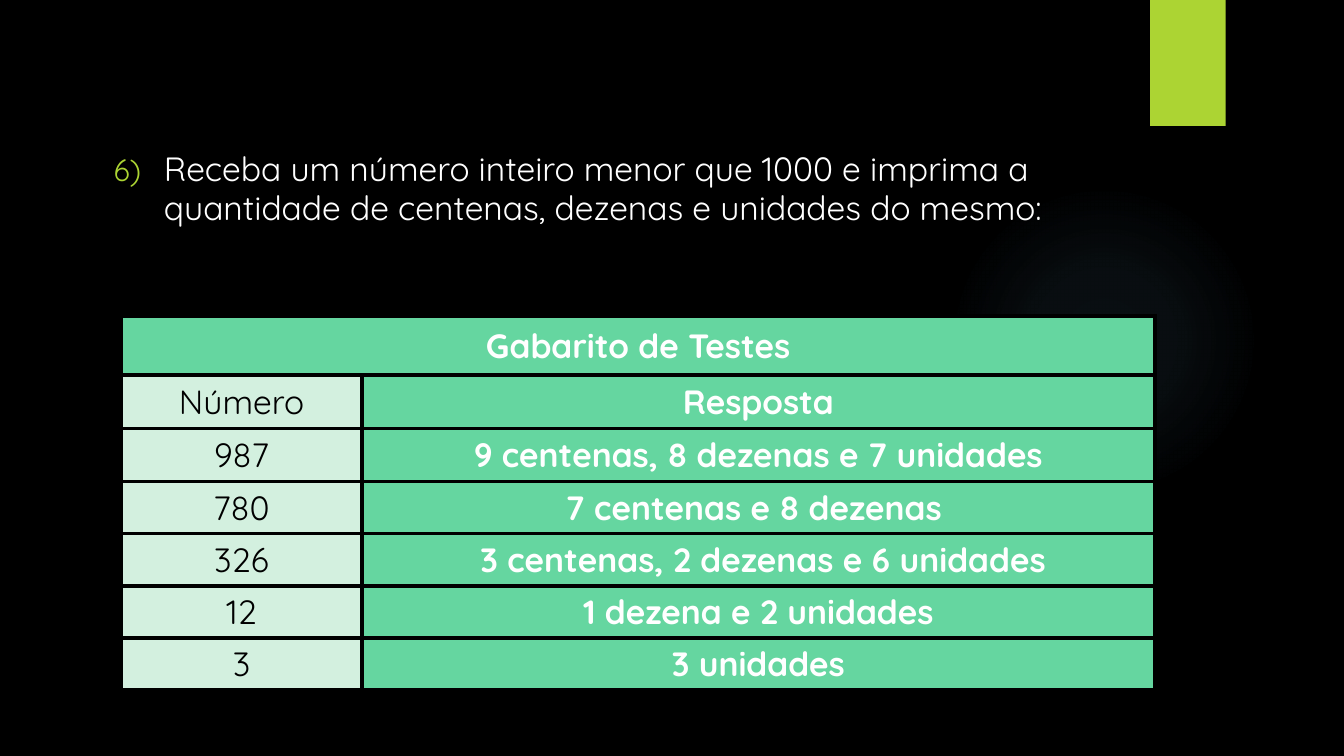
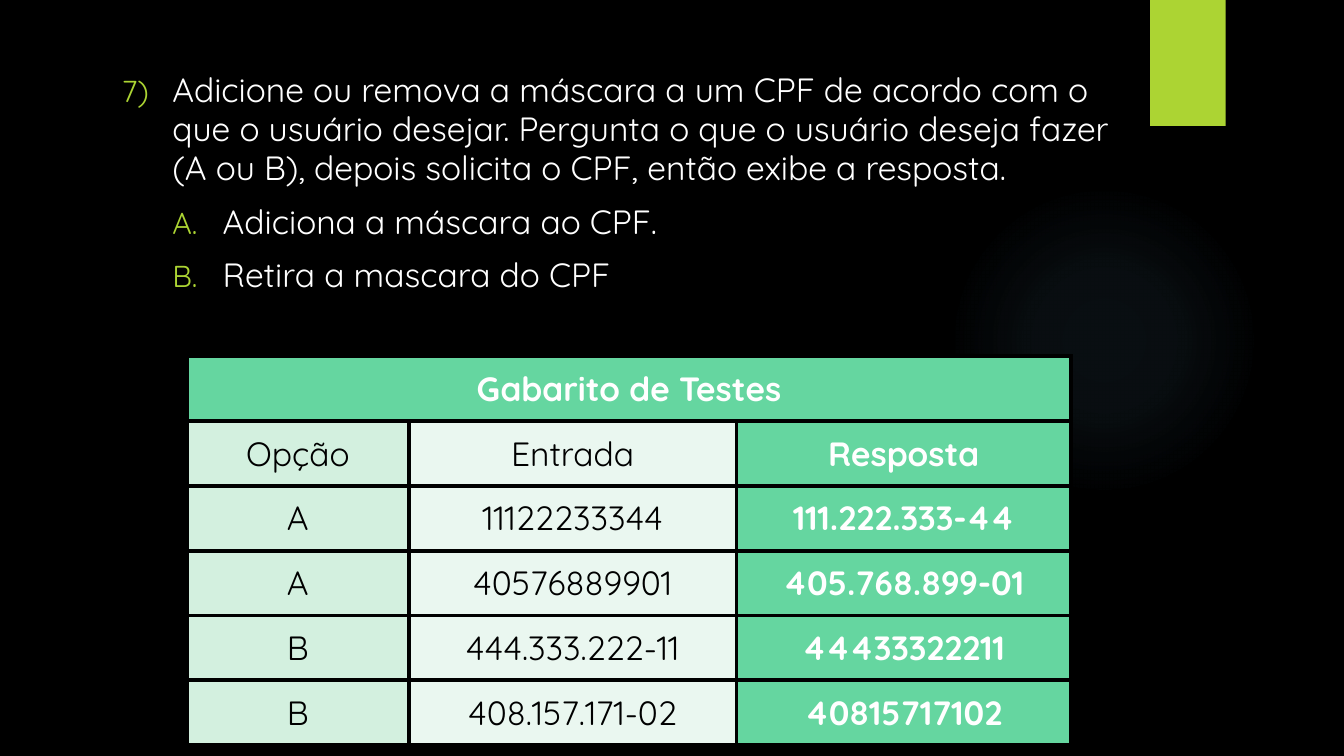
"""Build two exercise slides, each with a statement and a table of expected answers."""
from pptx import Presentation
from pptx.dml.color import RGBColor
from pptx.enum.shapes import MSO_SHAPE as Preset
from pptx.enum.text import MSO_ANCHOR as Anchor, PP_ALIGN as Align
from pptx.oxml import parse_xml
from pptx.oxml.ns import nsdecls
from pptx.util import Pt

BLACK = RGBColor(0x00, 0x00, 0x00)
WHITE = RGBColor(0xFF, 0xFF, 0xFF)
LIME = RGBColor(0xAC, 0xD4, 0x33)
GLOW = RGBColor(0x7A, 0xC4, 0xF0)
GREEN = RGBColor(0x65, 0xD6, 0xA0)
LIGHT_GREEN = RGBColor(0xD3, 0xF0, 0xDF)
PALE_GREEN = RGBColor(0xEA, 0xF7, 0xF0)

FONT = "Quicksand"
TEXT_SIZE = 24
INDENT = 36
BORDER = 3
GLOW_STOPS = [(0, 7), (36, 6), (69, 0)]
TABLE_TITLE = "Gabarito de Testes"


def format_run(run, color, bold=False):
    """Apply the shared font to a run."""
    run.font.name = FONT
    run.font.size = Pt(TEXT_SIZE)
    run.font.bold = bold
    run.font.color.rgb = color


def add_plain_shape(slide, preset, left, top, width, height):
    """Add a preset shape without line or shadow."""
    shape = slide.shapes.add_shape(preset, Pt(left), Pt(top), Pt(width), Pt(height))
    shape.shadow.inherit = False
    shape.line.fill.background()
    return shape


def add_glow(slide):
    """Add the faint round glow on the right."""
    glow = add_plain_shape(slide, Preset.OVAL, 677.5, 132, 222, 222)
    glow.fill.background()
    stops = "".join(
        f'<a:gs pos="{position * 1000}"><a:srgbClr val="{GLOW}">'
        f'<a:alpha val="{opacity * 1000}"/></a:srgbClr></a:gs>'
        for position, opacity in GLOW_STOPS
    )
    gradient = parse_xml(
        f'<a:gradFill {nsdecls("a")}><a:gsLst>{stops}</a:gsLst><a:path path="circle">'
        '<a:fillToRect l="50000" t="50000" r="50000" b="50000"/></a:path></a:gradFill>'
    )
    properties = glow.element.spPr
    properties.replace(properties.find("{*}noFill"), gradient)


def add_exercise_slide(presentation):
    """Add a blank slide with the shared decoration."""
    slide = presentation.slides.add_slide(presentation.slide_layouts[6])
    add_glow(slide)
    tab = add_plain_shape(slide, Preset.RECTANGLE, 821.5, 0, 54, 90)
    tab.fill.solid()
    tab.fill.fore_color.rgb = LIME
    return slide


def number_paragraph(paragraph, scheme, start, level):
    """Give a paragraph a lime automatic number and a hanging indent."""
    properties = paragraph._p.get_or_add_pPr()
    properties.set("marL", str(Pt(INDENT * (level + 1))))
    properties.set("indent", str(Pt(-INDENT)))
    for markup in (
        f'<a:buClr {nsdecls("a")}><a:srgbClr val="{LIME}"/></a:buClr>',
        f'<a:buSzPct {nsdecls("a")} val="90000"/>',
        f'<a:buAutoNum {nsdecls("a")} type="{scheme}" startAt="{start}"/>',
    ):
        properties.append(parse_xml(markup))


def add_statement(slide, left, top, height, number, statement, options=()):
    """Add the numbered statement with its lettered options."""
    box = slide.shapes.add_textbox(Pt(left), Pt(top), Pt(738), Pt(height))
    frame = box.text_frame
    frame.word_wrap = True
    frame.text = "\n".join([statement, *options])
    for index, paragraph in enumerate(frame.paragraphs):
        paragraph.level = min(index, 1)
        paragraph.line_spacing = 0.97
        paragraph.space_before = Pt(10)
        if index == 0:
            number_paragraph(paragraph, "arabicParenR", number, 0)
        else:
            number_paragraph(paragraph, "alphaUcPeriod", 1, 1)
        format_run(paragraph.runs[0], WHITE)


def set_borders(cell):
    """Draw black lines on the four sides of a cell."""
    properties = cell._tc.get_or_add_tcPr()
    for index, side in enumerate(("lnL", "lnR", "lnT", "lnB")):
        line = parse_xml(
            f'<a:{side} {nsdecls("a")} w="{Pt(BORDER)}"><a:solidFill>'
            f'<a:srgbClr val="{BLACK}"/></a:solidFill></a:{side}>'
        )
        properties.insert(index, line)


def fill_cell(cell, text, fill, color, bold):
    """Write a centred text in a filled and bordered cell."""
    cell.fill.solid()
    cell.fill.fore_color.rgb = fill
    set_borders(cell)
    cell.vertical_anchor = Anchor.MIDDLE
    if text:
        cell.text = text
        paragraph = cell.text_frame.paragraphs[0]
        paragraph.alignment = Align.CENTER
        format_run(paragraph.runs[0], color, bold)


def add_answer_table(slide, left, top, widths, heights, rows):
    """Add the table of tests under a merged title row."""
    frame = slide.shapes.add_table(
        len(heights), len(widths), Pt(left), Pt(top), Pt(sum(widths)), Pt(sum(heights))
    )
    table = frame.table
    table.first_row = table.horz_banding = False
    for column, width in zip(table.columns, widths):
        column.width = Pt(width)
    for row, height in zip(table.rows, heights):
        row.height = Pt(height)
    last = len(widths) - 1
    table.cell(0, 0).merge(table.cell(0, last))
    title_row = [TABLE_TITLE] + [""] * last
    for row_index, texts in enumerate([title_row, *rows]):
        for column_index, text in enumerate(texts):
            cell = table.cell(row_index, column_index)
            if row_index == 0 or column_index == last:
                fill_cell(cell, text, GREEN, WHITE, True)
            else:
                fill = PALE_GREEN if column_index else LIGHT_GREEN
                fill_cell(cell, text, fill, BLACK, False)


def add_digits_slide(presentation):
    """Add the exercise on hundreds, tens and units."""
    slide = add_exercise_slide(presentation)
    add_statement(
        slide, 74, 104, 122, 6,
        "Receba um número inteiro menor que 1000 e imprima a quantidade de centenas, "
        "dezenas e unidades do mesmo:",
    )
    rows = [
        ("Número", "Resposta"),
        ("987", "9 centenas, 8 dezenas e 7 unidades"),
        ("780", "7 centenas e 8 dezenas "),
        ("326", " 3 centenas, 2 dezenas e 6 unidades"),
        ("12", "1 dezena e 2 unidades"),
        ("3", "3 unidades"),
    ]
    heights = [42.5] + [38] * 2 + [37.2] * 4
    add_answer_table(slide, 86.5, 225.5, [172, 566.5], heights, rows)


def add_mask_slide(presentation):
    """Add the exercise on the CPF mask."""
    slide = add_exercise_slide(presentation)
    add_statement(
        slide, 80, 47.5, 446, 7,
        "Adicione ou remova a máscara a um CPF de acordo com o que o usuário desejar. "
        "Pergunta o que o usuário deseja fazer (A ou B), depois solicita o CPF, "
        "então exibe a resposta.",
        ["Adiciona a máscara ao CPF.", "Retira a mascara do CPF"],
    )
    rows = [
        ("Opção", "Entrada", "Resposta"),
        ("A", "11122233344", "111.222.333-44"),
        ("A", "40576889901", "405.768.899-01"),
        ("B", "444.333.222-11", "44433322211"),
        ("B", "408.157.171-02", "40815717102"),
    ]
    add_answer_table(slide, 133.5, 254.5, [158.5, 234, 239], [46.3] * 6, rows)


def main():
    """Build and save the presentation."""
    presentation = Presentation()
    presentation.slide_width = Pt(960)
    presentation.slide_height = Pt(540)
    background = presentation.slide_master.background.fill
    background.solid()
    background.fore_color.rgb = BLACK
    add_digits_slide(presentation)
    add_mask_slide(presentation)
    presentation.save("out.pptx")


if __name__ == "__main__":
    main()
